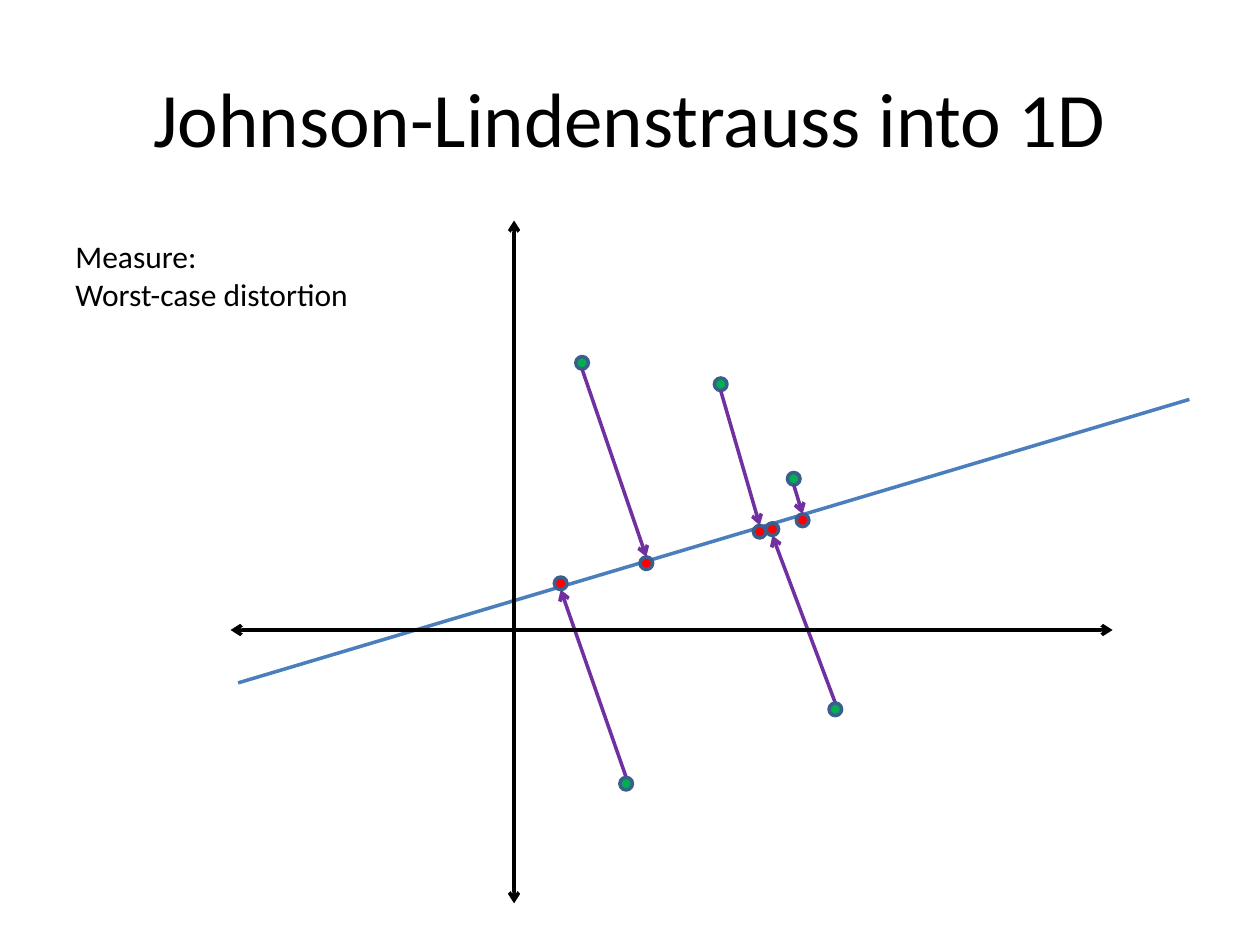
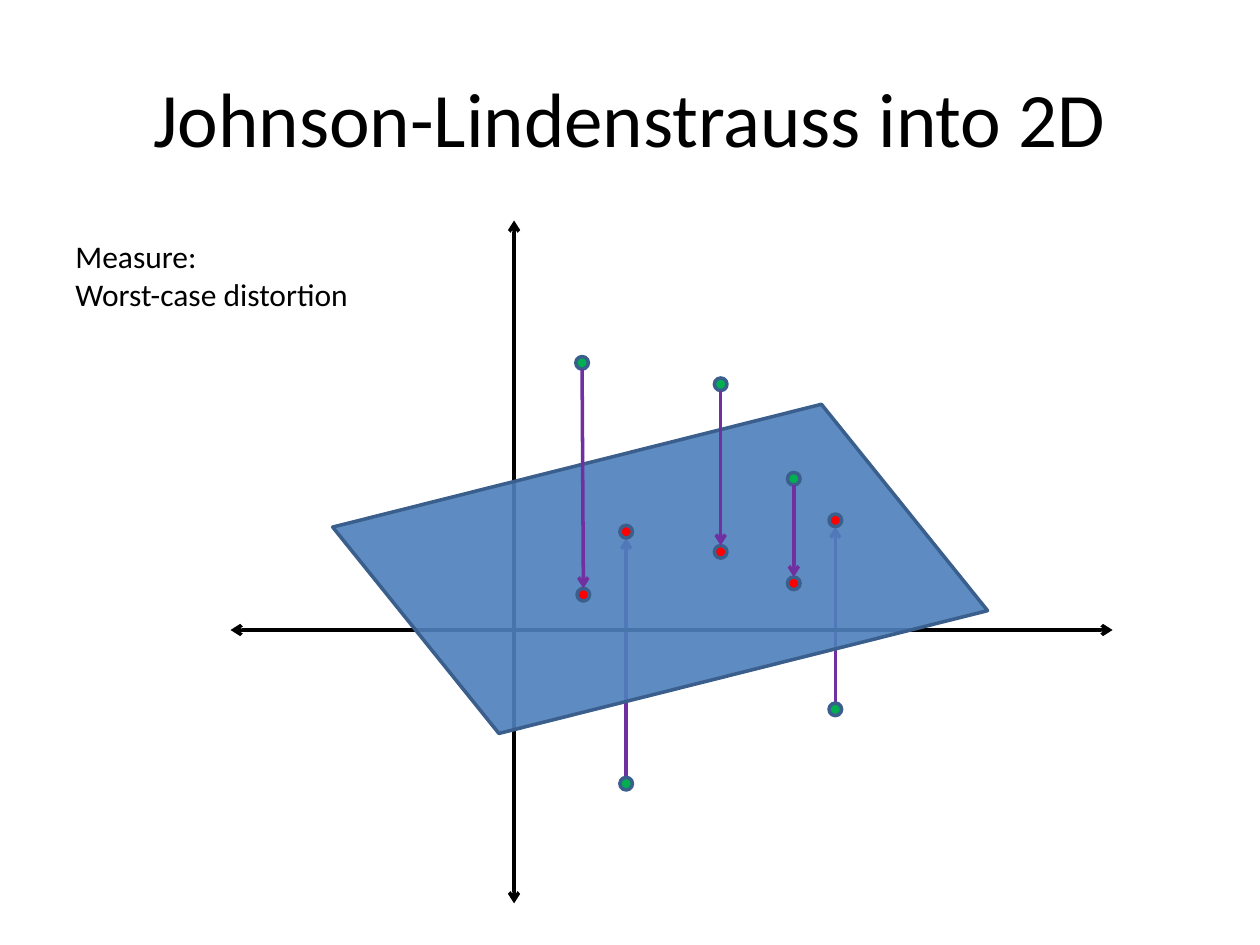
"""Build two slides that show random projection onto a line and onto a plane."""
from dataclasses import dataclass

from lxml.etree import SubElement
from pptx import Presentation
from pptx.dml.color import RGBColor
from pptx.enum.shapes import MSO_CONNECTOR as Connector, MSO_SHAPE as Preset
from pptx.enum.text import MSO_ANCHOR as Anchor, MSO_AUTO_SIZE as AutoSize, PP_ALIGN as Align
from pptx.oxml.ns import qn
from pptx.util import Inches, Pt


@dataclass(frozen=True)
class Theme:
    font: str = "Calibri"
    title_size: int = 44
    note_size: int = 18
    line_width: int = 2
    ink: str = "000000"
    subspace_line: str = "4B7EBC"
    plane: str = "4F81BD"
    outline: str = "3A5F8C"
    arrow: str = "7030A0"
    point: str = "00B050"
    image: str = "FF0000"


RADIUS = 0.05
TITLE_BOX = (0.5, 0.3, 9, 1.25)
NOTE_BOX = (0.5, 1.83, 2.39, 0.71)
NOTE = ("Measure:", "Worst-case distortion")
AXES = (((4.08, 1.75), (4.08, 7.17)), ((1.83, 5), (8.83, 5)))
SUBSPACE_LINE = ((1.89, 5.42), (9.44, 3.17))
PLANE_BOX = (2.8, 3.56, 4.88, 1.91)
POINTS = ((4.62, 2.88), (5.72, 3.05), (6.3, 3.8), (4.97, 6.22), (6.63, 5.63))
LINE_IMAGES = ((5.13, 4.47), (6.03, 4.22), (6.37, 4.13), (4.45, 4.63), (6.13, 4.2))
PLANE_IMAGES = ((4.63, 4.72), (5.72, 4.38), (6.3, 4.63), (4.97, 4.22), (6.63, 4.13))


def apply(target, formats):
    for name, value in formats.items():
        setattr(target, name, value)


def inches(values):
    return [Inches(value) for value in values]


class Painter:
    def __init__(self, deck, theme):
        self.deck, self.theme, self.page = deck, theme, None

    def start_page(self, heading):
        self.page = self.deck.slides.add_slide(self.deck.slide_layouts[5])
        title = self.page.shapes.title
        apply(title, dict(zip(("left", "top", "width", "height"), inches(TITLE_BOX))))
        title.text_frame.vertical_anchor = Anchor.MIDDLE
        self.fill_text(title.text_frame, [heading], self.theme.title_size, Align.CENTER)

    def fill_text(self, frame, lines, size, align):
        for index, line in enumerate(lines):
            para = frame.add_paragraph() if index else frame.paragraphs[0]
            para.alignment = align
            span = para.add_run()
            span.text = line
            apply(span.font, {"name": self.theme.font, "size": Pt(size)})
            span.font.color.rgb = RGBColor.from_string(self.theme.ink)

    def note(self, lines, bounds):
        frame = self.page.shapes.add_textbox(*inches(bounds)).text_frame
        apply(frame, {"word_wrap": False, "auto_size": AutoSize.SHAPE_TO_FIT_TEXT})
        self.fill_text(frame, lines, self.theme.note_size, Align.LEFT)

    def stroke(self, line, color):
        line.color.rgb = RGBColor.from_string(color)
        line.width = Pt(self.theme.line_width)

    def line(self, start, end, color, heads=()):
        link = self.page.shapes.add_connector(Connector.STRAIGHT, *inches(start + end))
        self.stroke(link.line, color)
        outline = link._element.spPr.find(qn("a:ln"))
        for head in heads:
            SubElement(outline, qn(f"a:{head}"), type="arrow")
        SubElement(link._element.spPr, qn("a:effectLst"))

    def shape(self, preset, bounds, color):
        shape = self.page.shapes.add_shape(preset, *inches(bounds))
        shape.shadow.inherit = False
        shape.fill.solid()
        shape.fill.fore_color.rgb = RGBColor.from_string(color)
        self.stroke(shape.line, self.theme.outline)
        return shape

    def dot(self, center, color):
        x, y = center
        self.shape(Preset.OVAL, (x - RADIUS, y - RADIUS, 2 * RADIUS, 2 * RADIUS), color)

    def plane(self):
        plane = self.shape(Preset.PARALLELOGRAM, PLANE_BOX, self.theme.plane)
        plane.adjustments[0] = 0.461
        plane.rotation = 345.9
        plane._element.spPr.find(qn("a:xfrm")).set("flipH", "1")
        color = plane._element.spPr.find(qn("a:solidFill"))[0]
        SubElement(color, qn("a:alpha"), val="91000")

    def projections(self, images, downward):
        step = RADIUS if downward else -RADIUS
        for (x, y), (image_x, image_y) in zip(POINTS, images):
            if (image_y > y) == downward:
                self.line((x, y + step), (image_x, image_y - step), self.theme.arrow, ["tailEnd"])

    def diagram(self, heading, images, flat):
        self.start_page(heading)
        if not flat:
            self.line(*SUBSPACE_LINE, self.theme.subspace_line)
        self.projections(images, downward=False)
        for start, end in AXES:
            self.line(start, end, self.theme.ink, ["headEnd", "tailEnd"])
        if flat:
            self.plane()
        for centers, color in ((images, self.theme.image), (POINTS, self.theme.point)):
            for center in centers:
                self.dot(center, color)
        self.projections(images, downward=True)
        self.note(NOTE, NOTE_BOX)


def main():
    deck = Presentation()
    apply(deck, {"slide_width": Inches(10), "slide_height": Inches(7.5)})
    painter = Painter(deck, Theme())
    painter.diagram("Johnson-Lindenstrauss into 1D", LINE_IMAGES, flat=False)
    painter.diagram("Johnson-Lindenstrauss into 2D", PLANE_IMAGES, flat=True)
    deck.save("out.pptx")


if __name__ == "__main__":
    main()
